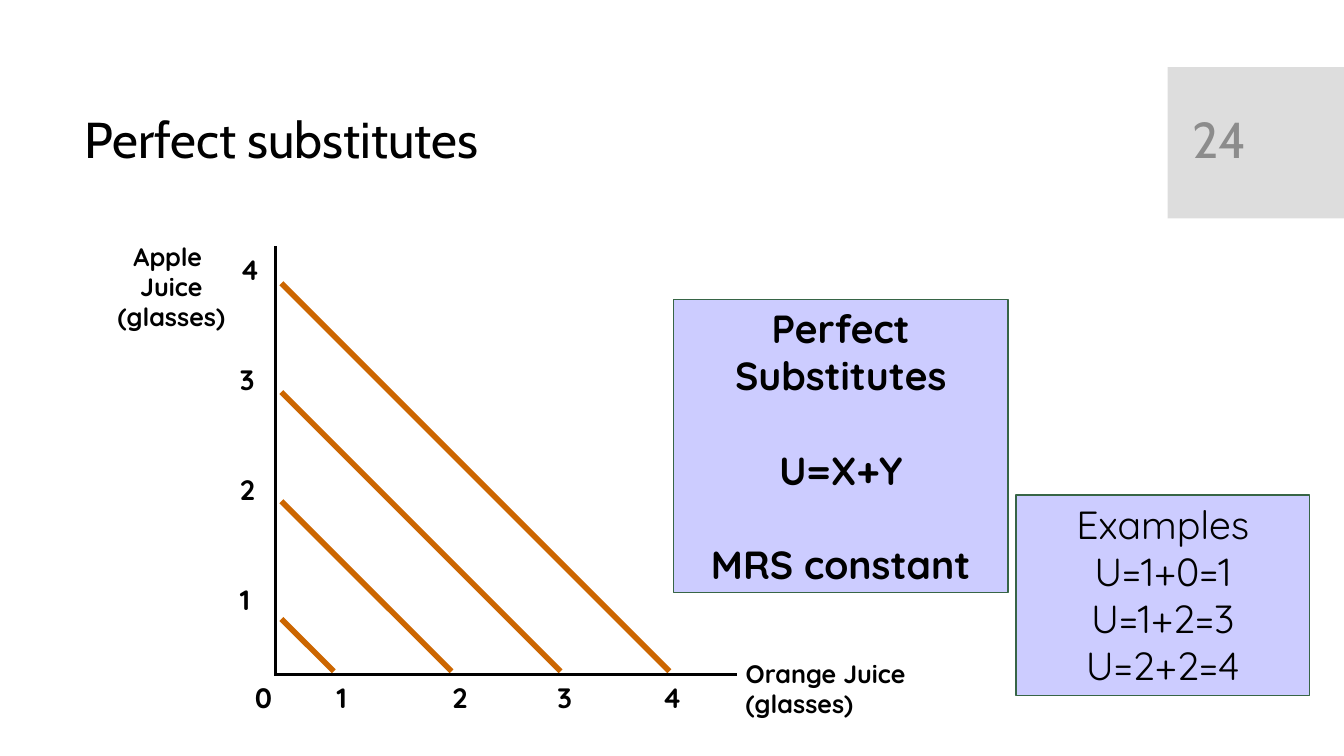
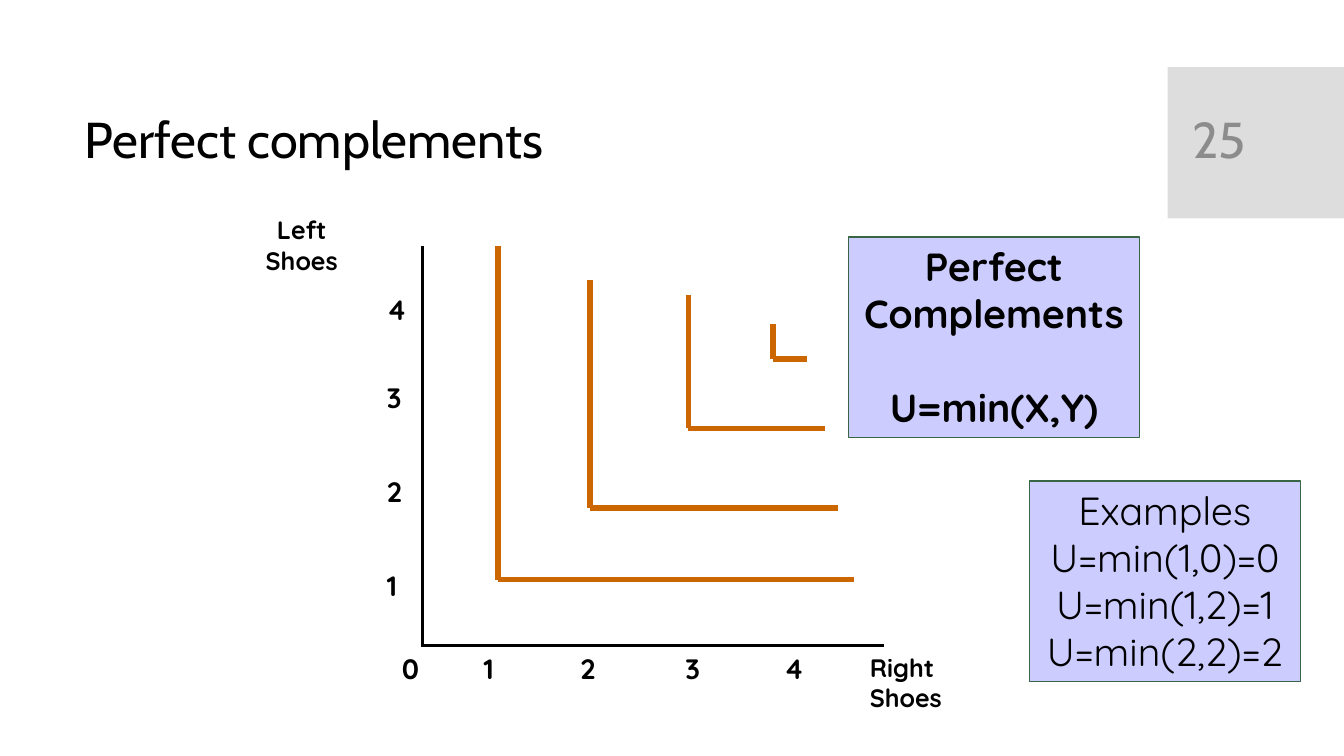
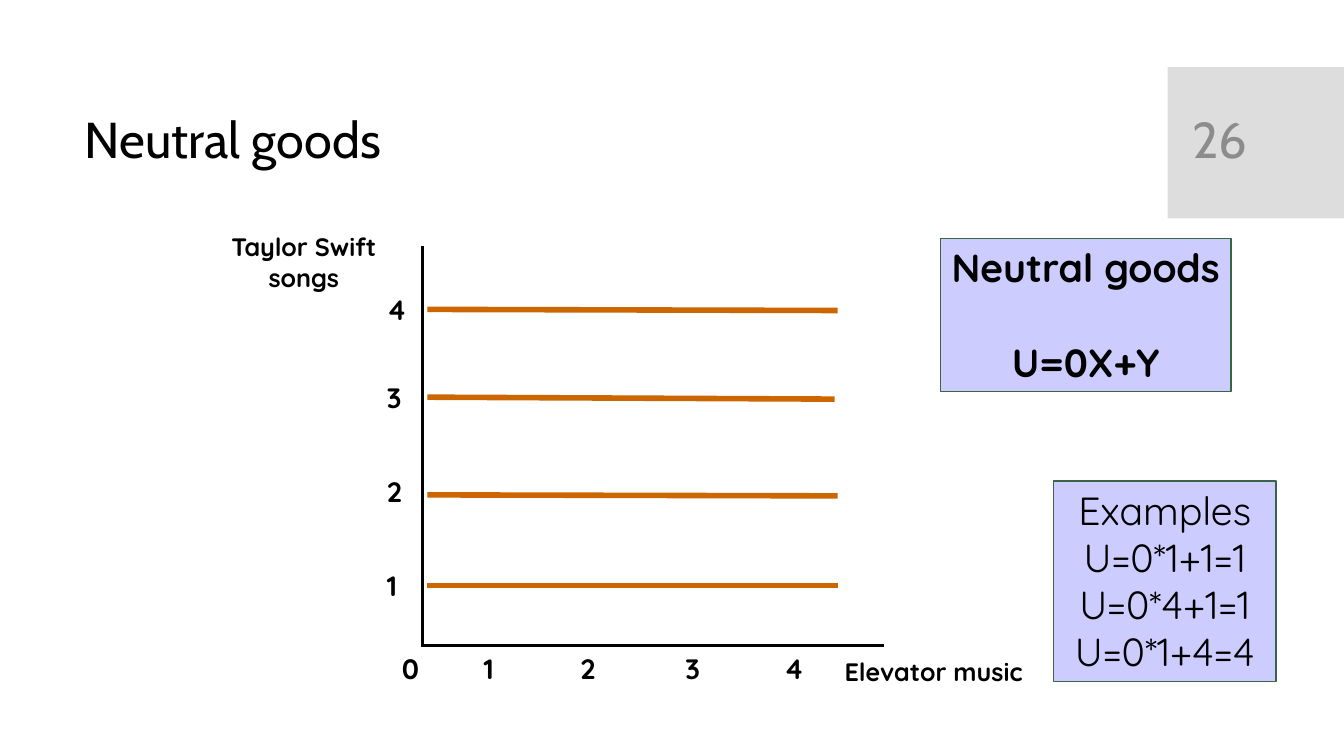
from lxml.etree import SubElement
from pptx import Presentation
from pptx.dml.color import RGBColor
from pptx.enum.shapes import MSO_CONNECTOR, MSO_SHAPE
from pptx.enum.text import MSO_ANCHOR, PP_ALIGN
from pptx.oxml.ns import qn
from pptx.util import Pt


def rgb(color):
    return RGBColor.from_string(color)


class Lecture:
    """Holds the shared style and the slide being filled."""

    INK = "000000"
    BAND = "DDDDDD"
    NUMBER = "8C8C8C"
    CURVE = "CC6600"
    PANEL = "CCCCFF"
    PANEL_EDGE = "376546"
    HEADING_FONT = "Cabin"
    BODY_FONT = "Quicksand"
    AXIS_TOP = 175.7
    AXIS_LENGTH = 330
    PANEL_GAP = 34

    def __init__(self):
        self.deck = Presentation()
        self.deck.slide_width = Pt(960)
        self.deck.slide_height = Pt(540)
        self.slide = None

    def new_slide(self, title, number):
        self.slide = self.deck.slides.add_slide(self.deck.slide_layouts[6])
        self.rectangle((834, 48, 126, 108), self.BAND)
        self.heading((53.3, 59, 757, 85), title, self.INK)
        self.heading((844.6, 59, 90.7, 85.7), str(number), self.NUMBER)

    def rectangle(self, place, fill, edge=None):
        shape = self.slide.shapes.add_shape(MSO_SHAPE.RECTANGLE, *map(Pt, place))
        shape.shadow.inherit = False
        shape.fill.solid()
        shape.fill.fore_color.rgb = rgb(fill)
        if edge:
            shape.line.color.rgb = rgb(edge)
            shape.line.width = Pt(1)
        else:
            shape.line.fill.background()
        return shape

    def set_lines(self, frame, lines, size, font, color=INK, bold=False, align=PP_ALIGN.LEFT):
        frame.text = "\n".join(lines)
        for para in frame.paragraphs:
            para.alignment = align
            for span in para.runs:
                span.font.size = Pt(size)
                span.font.name = font
                span.font.bold = bold
                span.font.color.rgb = rgb(color)

    def heading(self, place, text, color):
        frame = self.slide.shapes.add_textbox(*map(Pt, place)).text_frame
        frame.word_wrap = True
        frame.vertical_anchor = MSO_ANCHOR.MIDDLE
        self.set_lines(frame, [text], 36, self.HEADING_FONT, color)
        frame.paragraphs[0].line_spacing = 0.9

    def label(self, place, *lines, size=18, align=PP_ALIGN.LEFT):
        frame = self.slide.shapes.add_textbox(*map(Pt, place)).text_frame
        frame.word_wrap = True
        self.set_lines(frame, lines, size, self.BODY_FONT, bold=True, align=align)

    def line(self, start, end, color, width):
        connector = self.slide.shapes.add_connector(
            MSO_CONNECTOR.STRAIGHT, *map(Pt, (*start, *end)))
        connector.line.color.rgb = rgb(color)
        connector.line.width = Pt(width)
        SubElement(connector._element.spPr, qn("a:effectLst"))

    def curve(self, *points):
        """Draw an indifference curve as straight pieces."""
        for start, end in zip(points, points[1:]):
            self.line(start, end, self.CURVE, 4)

    def axes(self, x, y, columns, rows, row_left):
        """Draw axes from an origin; columns number from 0 and rows from 1."""
        self.line((x, self.AXIS_TOP), (x, y), self.INK, 2)
        self.line((x - 0.7, y), (x + self.AXIS_LENGTH, y), self.INK, 2)
        for value, left in enumerate(columns):
            self.label((left, y + 0.7, 26, 31), str(value), size=20)
        for value, top in enumerate(rows, 1):
            self.label((row_left, top, 26, 31), str(value), size=20)

    def panel(self, place, *groups, bold=True):
        """Draw a filled box whose groups of lines are set apart."""
        frame = self.rectangle(place, self.PANEL, self.PANEL_EDGE).text_frame
        frame.word_wrap = False
        frame.vertical_anchor = MSO_ANCHOR.TOP
        lines = [text for group in groups for text in group]
        self.set_lines(frame, lines, 28, self.BODY_FONT, bold=bold, align=PP_ALIGN.CENTER)
        first = 0
        for group in groups[:-1]:
            first += len(group)
            frame.paragraphs[first].space_before = Pt(self.PANEL_GAP)

    def examples(self, place, *formulas):
        self.panel(place, ["Examples", *formulas], bold=False)


WIDE_AXES = {
    "x": 301.7, "y": 461,
    "columns": (280, 338.4, 407.5, 482.4, 553),
    "rows": (402.5, 335.5, 268.6, 205.2),
    "row_left": 269.3,
}


def perfect_substitutes(lecture):
    lecture.new_slide("Perfect substitutes", 24)
    left, base = 201, 479.5
    for reach in (37.4, 121.5, 199.4, 277.2):
        lecture.curve((left, base - reach), (left + reach, base))
    lecture.axes(196.6, 481.7, (175, 233.3, 316, 391, 465.8),
                 [412.6 - 78.7 * step for step in range(4)], 164.2)
    lecture.label((525.6, 466.6, 150, 50), "Orange Juice", "(glasses)")
    lecture.label((72.4, 168.5, 100, 73), "Apple ", "Juice", "(glasses)",
                  align=PP_ALIGN.CENTER)
    lecture.panel((481, 213.8, 239, 209.5), ["Perfect", "Substitutes"],
                  ["U=X+Y"], ["MRS constant"])
    lecture.examples((725.8, 353.5, 209.5, 143.3), "U=1+0=1", "U=1+2=3", "U=2+2=4")


def perfect_complements(lecture):
    lecture.new_slide("Perfect complements", 25)
    for x, top, corner, right in ((355.7, 175.7, 414, 609.8), (421.5, 200.2, 362.9, 598.3),
                                  (491.8, 211, 306, 589), (552, 231.1, 256.3, 576.7)):
        lecture.curve((x, top), (x, corner), (right, corner))
    lecture.axes(**WIDE_AXES)
    lecture.label((614.2, 462.2, 90, 50), "Right Shoes")
    lecture.label((180.5, 149.8, 70, 50), "Left", "Shoes", align=PP_ALIGN.CENTER)
    lecture.panel((606.2, 169.2, 207.6, 143.3), ["Perfect", "Complements"], ["U=min(X,Y)"])
    lecture.examples((735.2, 343.5, 193.7, 143.3),
                     "U=min(1,0)=0", "U=min(1,2)=1", "U=min(2,2)=2")


def neutral_goods(lecture):
    lecture.new_slide("Neutral goods", 26)
    for start, end, right in ((418.3, 418.3, 598.3), (353.5, 354.2, 598.3),
                              (283.7, 285.1, 596.2), (221, 221.8, 598.3)):
        lecture.curve((305.3, start), (right, end))
    lecture.axes(**WIDE_AXES)
    lecture.label((596.2, 465.1, 150, 29), "Elevator music")
    lecture.label((154, 162, 126, 50), "Taylor Swift songs", align=PP_ALIGN.CENTER)
    lecture.panel((671.8, 170.6, 207.4, 108.9), ["Neutral goods"], ["U=0X+Y"])
    lecture.examples((752.4, 343.5, 159.1, 143.3), "U=0*1+1=1", "U=0*4+1=1", "U=0*1+4=4")


def main():
    lecture = Lecture()
    perfect_substitutes(lecture)
    perfect_complements(lecture)
    neutral_goods(lecture)
    lecture.deck.save("out.pptx")


if __name__ == "__main__":
    main()
